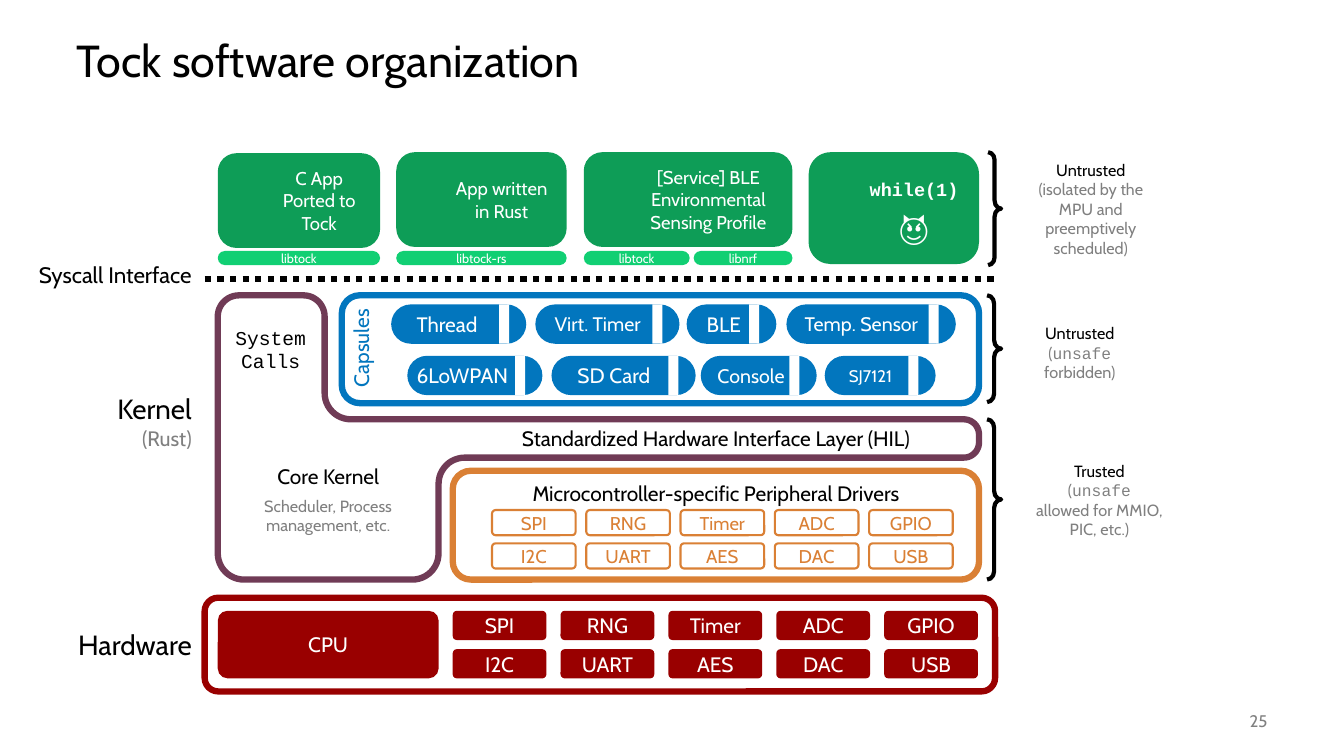
import math
import pptx
import pptx.util
import pptx.dml.color
import pptx.enum.dml
import pptx.enum.shapes
import pptx.enum.text
import pptx.oxml.ns

Pt = pptx.util.Pt
Kind = pptx.enum.shapes.MSO_SHAPE
Align = pptx.enum.text.PP_ALIGN
Anchor = pptx.enum.text.MSO_ANCHOR

# Content: boxes are left, top, width, height in inches
BODY, MONO = "Cabin", "Courier New"
BLACK, WHITE, GRAY = "000000", "FFFFFF", "808080"
RED, ORANGE, BLUE, PLUM = "990000", "DA8035", "0276BE", "703B56"
GREEN, LIME = "0E9D57", "11CF73"

TITLE = "Tock software organization"
PAGE = "25"
PARTS = [["SPI", "RNG", "Timer", "ADC", "GPIO"],
         ["I2C", "UART", "AES", "DAC", "USB"]]

# Text, left, top, width
APPS = [("C App Ported to Tock", 2.16, 1.52, 1.61),
        ("App written in Rust", 3.93, 1.51, 1.69),
        ("[Service] BLE Environmental Sensing Profile", 5.79, 1.51, 2.07)]
# Text, left, width
LIBS = [("libtock", 2.16, 1.61), ("libtock-rs", 3.93, 1.69),
        ("libtock", 5.79, 1.05), ("libnrf", 6.88, 0.98)]
# Text, left, width, size, left inset, right inset
CAPS = [
    (3.02, [("Thread", 3.88, 1.34, 14.9, 0.1, 0.33),
            ("Virt. Timer", 5.31, 1.43, 14, 0.1, 0.29),
            ("BLE", 6.81, 0.89, 14.9, 0.1, 0.25),
            ("Temp. Sensor", 7.8, 1.68, 14, 0.1, 0.29)]),
    (3.53, [("6LoWPAN", 4.04, 1.34, 14.9, 0, 0.25),
            ("SD Card", 5.47, 1.43, 14.9, 0.1, 0.29),
            ("Console", 6.95, 1.15, 14, 0.1, 0.25),
            ("SJ7121", 8.18, 1.1, 12, 0.03, 0.22)]),
]
# Corner x, corner y, radius
KERNEL = [(2.16, 2.93, 0.21), (3.22, 2.93, 0.21), (3.22, 4.16, 0.26),
          (9.71, 4.16, 0.15), (9.71, 4.54, 0.15), (4.35, 4.54, 0.26),
          (4.35, 5.75, 0.26), (2.16, 5.75, 0.26)]
# Brace box, note box, note paragraphs of (text, colour, font)
NOTES = [
    ((9.8, 1.51, 0.13, 1.12), (10.12, 1.51, 1.4, 1.12),
     [[("Untrusted", BLACK, BODY)],
      [("(isolated by the MPU and preemptively scheduled)", GRAY, BODY)]]),
    ((9.79, 2.93, 0.14, 1.06), (10.12, 2.93, 1.18, 1.14),
     [[("Untrusted", BLACK, BODY)],
      [("(", GRAY, BODY), ("unsafe\n", GRAY, MONO), ("forbidden)", GRAY, BODY)]]),
    ((9.79, 4.16, 0.14, 1.59), (10.12, 4.1, 1.57, 1.72),
     [[("Trusted", BLACK, BODY)],
      [("(", GRAY, BODY), ("unsafe\n", GRAY, MONO),
       ("allowed for MMIO,\nPIC, etc.)", GRAY, BODY)]]),
]


def cm(inch):
    return pptx.util.Cm(inch * 2.54)


def rgb(code):
    return pptx.dml.color.RGBColor.from_string(code)


def paint(shape, fill=None, line=None, width=4.5):
    shape.shadow.inherit = False
    if fill:
        shape.fill.solid()
        shape.fill.fore_color.rgb = rgb(fill)
    else:
        shape.fill.background()
    if line:
        shape.line.color.rgb = rgb(line)
        shape.line.width = Pt(width)
    else:
        shape.line.fill.background()


def draw(box, fill=None, line=None, width=4.5, adj=(1 / 6,), kind=Kind.ROUNDED_RECTANGLE):
    shape = slide.shapes.add_shape(kind, *map(cm, box))
    for i in range(len(shape.adjustments)):
        shape.adjustments[i] = adj[i]
    paint(shape, fill, line, width)
    return shape


def write(shape, paras, size=14.9, align=Align.CENTER, anchor=Anchor.MIDDLE,
          wrap=True, pad=(0.1, 0.05, 0.1, 0.05), after=0):
    """Each run is text, colour, font and, where it differs, size."""
    frame = shape.text_frame
    frame.word_wrap, frame.vertical_anchor = wrap, anchor
    frame.margin_left, frame.margin_top, frame.margin_right, frame.margin_bottom = map(cm, pad)
    for i, runs in enumerate(paras):
        para = frame.add_paragraph() if i else frame.paragraphs[0]
        para.alignment, para.space_after = align, Pt(after)
        for text, color, face, *own in runs:
            for k, part in enumerate(text.split("\n")):
                if k:
                    para.add_line_break()
                if part:
                    run = para.add_run()
                    run.text = part
                    run.font.name = face
                    run.font.size = Pt(own[0] if own else size)
                    run.font.color.rgb = rgb(color)
    return frame


def label(box, paras, **form):
    shape = slide.shapes.add_textbox(*map(cm, box))
    write(shape, paras, **form)
    return shape


def grid(left, top, step, size, point, color, fill, line):
    for r, row in enumerate(PARTS):
        for c, name in enumerate(row):
            box = (left + c * step[0], top + r * step[1], *size)
            shape = draw(box, fill, line, 1.5, (0.145,))
            write(shape, [[(name, color, BODY)]], point)


def bend(corners, steps=12):
    """Points along a closed outline with rounded corners."""
    dots = []
    for i, (x, y, rad) in enumerate(corners):
        legs = []
        for ox, oy, _ in (corners[i - 1], corners[(i + 1) % len(corners)]):
            far = math.dist((x, y), (ox, oy))
            legs.append(((ox - x) / far, (oy - y) / far))
        (ax, ay), (bx, by) = legs
        for k in range(steps + 1):
            turn = math.pi / 2 * k / steps
            a, b = rad * (1 - math.sin(turn)), rad * (1 - math.cos(turn))
            dots.append((cm(x + a * ax + b * bx), cm(y + a * ay + b * by)))
    return dots


deck = pptx.Presentation()
deck.slide_width, deck.slide_height = cm(13.33), cm(7.5)
slide = deck.slides.add_slide(deck.slide_layouts[5])

# Title and page number
title = slide.shapes.title
title.left, title.top, title.width, title.height = map(cm, (0.66, 0.25, 12, 0.75))
write(title, [[(TITLE, BLACK, BODY)]], 32, Align.LEFT).paragraphs[0].line_spacing = 0.9
label((11.67, 6.95, 1, 0.4), [[(PAGE, GRAY, BODY)]], size=12, align=Align.RIGHT)

# Layer names
side = dict(size=19.8, align=Align.RIGHT, wrap=False)
label((0.61, 5.93, 1.39, 0.93), [[("Hardware", BLACK, BODY)]], **side)
label((0.61, 2.6, 1.39, 3.16),
      [[("Kernel\n", BLACK, BODY), ("(Rust)", GRAY, BODY, 14.9)]], **side)
label((0.07, 2.54, 1.93, 0.42), [[("Syscall Interface", BLACK, BODY, 16)]],
      anchor=Anchor.TOP, **side)

# Hardware
draw((2.03, 5.93, 7.84, 0.93), None, RED, adj=(0.145,))
write(draw((2.16, 6.06, 2.19, 0.67), RED, adj=(0.145,)), [[("CPU", WHITE, BODY)]])
grid(4.49, 6.06, (1.07, 0.38), (0.93, 0.29), 14.9, WHITE, RED, None)

# Peripheral drivers
write(draw((4.49, 4.67, 5.22, 1.08), None, ORANGE),
      [[("Microcontroller-specific Peripheral Drivers", BLACK, BODY)]],
      anchor=Anchor.TOP, after=5)
grid(4.88, 5.06, (0.935, 0.33), (0.83, 0.25), 13.2, ORANGE, None, ORANGE)

# Core kernel
dots = bend(KERNEL)
pen = slide.shapes.build_freeform(*dots[0], scale=1.0)
pen.add_line_segments(dots[1:], close=True)
paint(pen.convert_to_shape(), None, PLUM)
label((2.16, 2.93, 1.05, 1.07), [[("System Calls", BLACK, MONO)]], size=14, after=5)
label((2.16, 4.16, 2.19, 1.59),
      [[("Core Kernel", BLACK, BODY)],
       [("Scheduler, Process management, etc.", GRAY, BODY, 11.6)]], after=5)
label((4.49, 4.16, 5.22, 0.38),
      [[("Standardized Hardware Interface Layer (HIL)", BLACK, BODY)]], after=5)

# Capsules
draw((3.39, 2.93, 6.32, 1.07), None, BLUE)
for top, row in CAPS:
    for name, left, wide, size, near, far in row:
        write(draw((left, top, wide, 0.39), BLUE, adj=(0.5,)), [[(name, WHITE, BODY)]],
              size, pad=(near, 0.05, far, 0.05), after=5)
        draw((left + wide - 0.27, top, 0.1, 0.39), WHITE, kind=Kind.RECTANGLE)
label((3.05, 3.28, 1.06, 0.35), [[("Capsules", BLUE, BODY)]],
      anchor=Anchor.TOP).rotation = 270

# Syscall boundary
edge = slide.shapes.add_connector(pptx.enum.shapes.MSO_CONNECTOR.STRAIGHT,
                                  *map(cm, (2.03, 2.77, 9.87, 2.77)))
edge.line.color.rgb, edge.line.width = rgb(BLACK), Pt(4.5)
edge.line.dash_style = pptx.enum.dml.MSO_LINE.ROUND_DOT
props = edge._element.spPr
props.append(props.makeelement(pptx.oxml.ns.qn("a:effectLst"), {}))

# Apps and their libraries
for name, left, top, wide in APPS:
    write(draw((left, top, wide, 0.94), GREEN, adj=(0.197,)), [[(name, WHITE, BODY)]],
          13.2, pad=(0.5, 0.05, 0.1, 0.05), after=5)
loop = write(draw((8.02, 1.51, 1.69, 1.11), GREEN, adj=(0.197,)),
             [[("while(1)", WHITE, MONO)], [("😈", WHITE, BODY, 23.1)]],
             13.2, pad=(0.5, 0.08, 0.1, 0), after=5)
loop.paragraphs[0].runs[0].font.bold = True
for name, left, wide in LIBS:
    write(draw((left, 2.49, wide, 0.14), LIME, adj=(0.5,)), [[(name, WHITE, BODY)]], 9.1)

# Trust notes
for brace, box, paras in NOTES:
    draw(brace, None, BLACK, 3, (0.602, 0.5), Kind.RIGHT_BRACE)
    label(box, paras, size=11.6)

deck.save("out.pptx")
